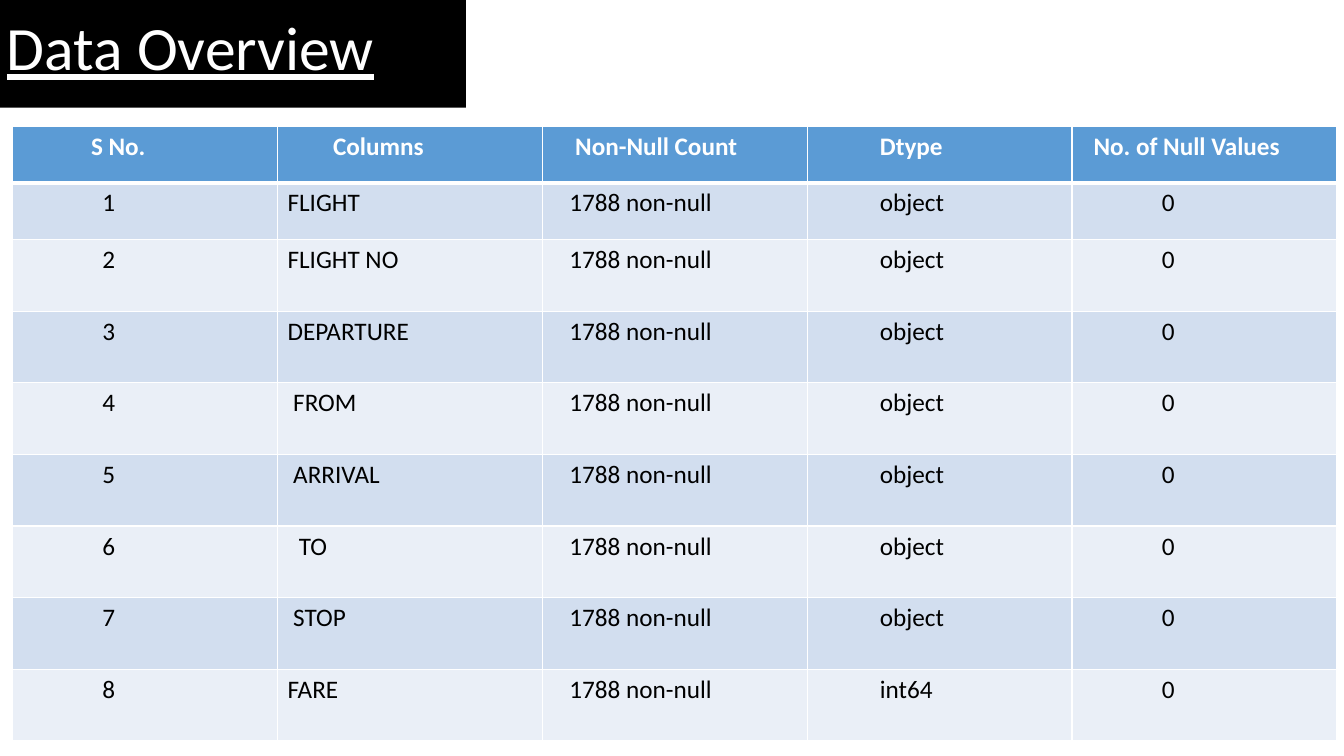
from lxml import etree
from pptx import Presentation
from pptx.dml.color import RGBColor
from pptx.enum.text import MSO_ANCHOR, MSO_AUTO_SIZE, PP_ALIGN
from pptx.oxml.ns import qn
from pptx.util import Pt

MIDDLE, LEFT, NO_FIT = MSO_ANCHOR.MIDDLE, PP_ALIGN.LEFT, MSO_AUTO_SIZE.NONE
WHITE, BLACK, BLUE = "FFFFFF", "000000", "5B9BD5"
BANDS = ["EAEFF7", "D2DEEF"]
PAD, STEP = 7.2, 4.07  # cell margin and one indent step


def paint(fill, color):
    fill.solid()
    fill.fore_color.rgb = RGBColor.from_string(color)


def style(run, color, **form):
    run.font.name = "Calibri"
    paint(run.font.fill, color)
    for key, value in form.items():
        setattr(run.font, key, value)


deck = Presentation()
deck.slide_width, deck.slide_height = Pt(960), Pt(540)
slide = deck.slides.add_slide(deck.slide_layouts[5])

# Title
title = slide.shapes.title
spot = {"left": -2.2, "top": -4.3, "width": 335, "height": 81.2}
for key, value in spot.items():
    setattr(title, key, Pt(value))
paint(title.fill, BLACK)
frame = title.text_frame
frame.text = "Data Overview"
form = {"auto_size": NO_FIT, "vertical_anchor": MIDDLE, "word_wrap": True}
for key, value in form.items():
    setattr(frame, key, value)
para = frame.paragraphs[0]
para.alignment, para.line_spacing = LEFT, 0.9
style(para.runs[0], WHITE, size=Pt(44), underline=True)

# Table content: field name, indent steps, type
fields = [
    ("FLIGHT", 0, "object"),
    ("FLIGHT NO", 0, "object"),
    ("DEPARTURE", 0, "object"),
    ("FROM", 1, "object"),
    ("ARRIVAL", 1, "object"),
    ("TO", 2, "object"),
    ("STOP", 1, "object"),
    ("FARE", 0, "int64"),
]
heads = ["S No.", "Columns", "Non-Null Count", "Dtype", "No. of Null Values"]
rows = [(heads, [12, 8, 4, 11, 2])]
for num, (name, indent, dtype) in enumerate(fields, 1):
    rows.append(([str(num), name, "1788 non-null", dtype, "0"],
                 [14, indent, 3, 11, 14]))

# Table grid
table = slide.shapes.add_table(len(rows), len(heads), Pt(9), Pt(90),
                               Pt(946), Pt(439.2)).table
for col in table.columns:
    col.width = Pt(189.2)
for i, row in enumerate(table.rows):
    row.height = Pt(40.6 if i < 2 else 51.14)

# Cells
for i, (texts, steps) in enumerate(rows):
    head = i == 0
    for j, text in enumerate(texts):
        cell = table.cell(i, j)
        cell.text = text
        cell.margin_left = Pt(PAD + STEP * steps[j])
        style(cell.text_frame.paragraphs[0].runs[0],
              WHITE if head else BLACK, size=Pt(18), bold=head)

        # White borders, thick between the header and the body
        props = cell._tc.get_or_add_tcPr()
        for side in "LRTB":
            thick = (i, side) in [(0, "B"), (1, "T")]
            line = etree.SubElement(props, qn("a:ln" + side),
                                    w=str(Pt(3 if thick else 1)))
            solid = etree.SubElement(line, qn("a:solidFill"))
            etree.SubElement(solid, qn("a:srgbClr"), val=WHITE)
        paint(cell.fill, BLUE if head else BANDS[i % 2])

deck.save("out.pptx")
